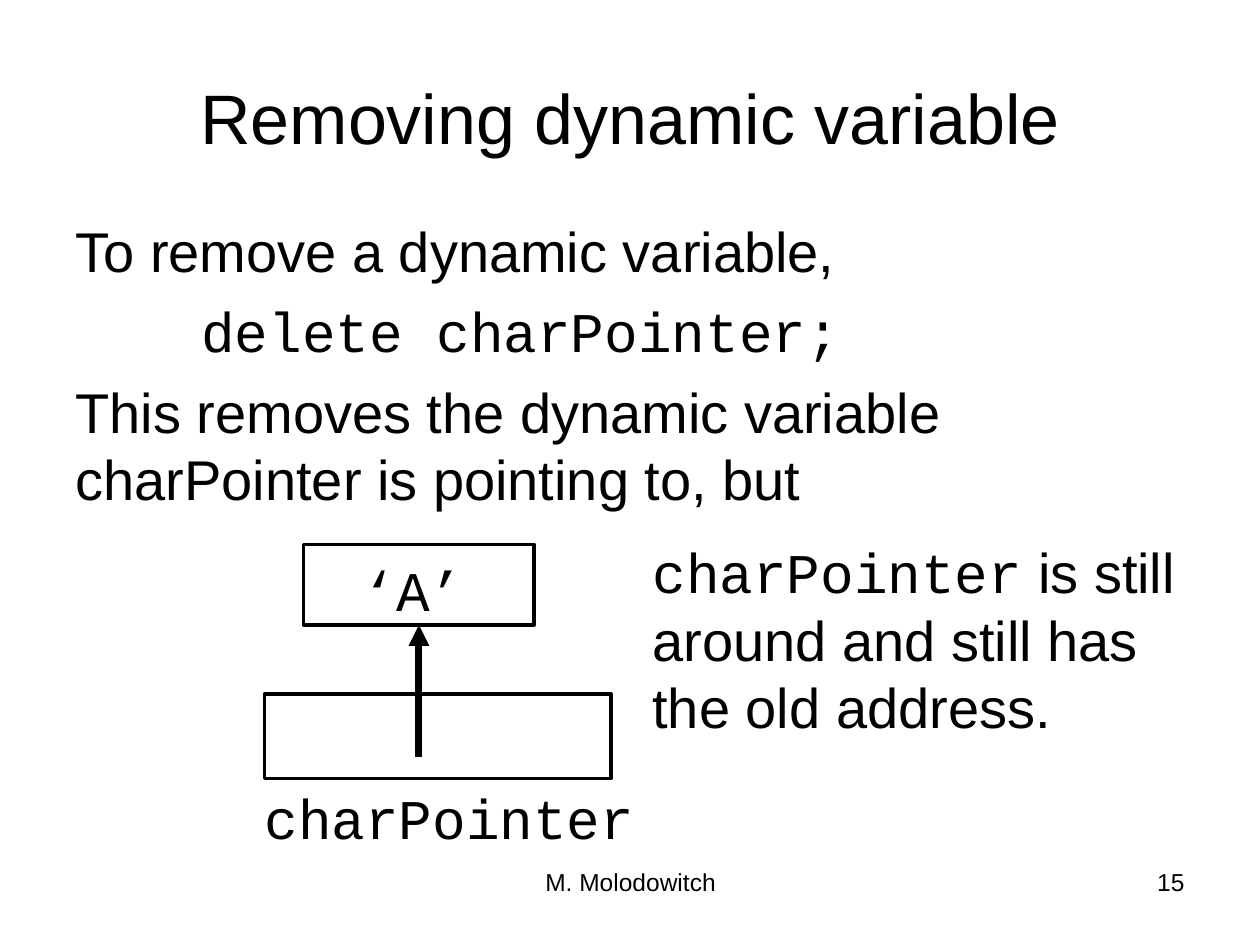
"""Build a slide on removing a dynamic variable in C++."""
from lxml import etree
from pptx import Presentation
from pptx.dml.color import RGBColor
from pptx.enum.shapes import MSO_CONNECTOR, MSO_SHAPE
from pptx.enum.text import MSO_ANCHOR, MSO_AUTO_SIZE, PP_ALIGN
from pptx.oxml.ns import qn
from pptx.util import Inches, Pt

LEFT, CENTER, RIGHT = PP_ALIGN.LEFT, PP_ALIGN.CENTER, PP_ALIGN.RIGHT
TOP, MIDDLE = MSO_ANCHOR.TOP, MSO_ANCHOR.MIDDLE
GROW, FIXED = MSO_AUTO_SIZE.SHAPE_TO_FIT_TEXT, MSO_AUTO_SIZE.NONE
RECTANGLE, STRAIGHT = MSO_SHAPE.RECTANGLE, MSO_CONNECTOR.STRAIGHT
BOTTOM_SIDE = 2

COLORS = {"ink": "000000", "paper": "FFFFFF"}
PROSE, CODE = "Arial", "Courier New"
COLUMNS, ROWS = 100, 75
CELL = Inches(0.1)

TITLE = [(0, [("Removing dynamic variable", PROSE)])]
FOOTER = [(0, [("M. Molodowitch", PROSE)])]
NUMBER = [(0, [("15", PROSE)])]
EXPLANATION = [
    (0, [("To remove a dynamic variable,", PROSE)]),
    (10, [("delete charPointer;", CODE)]),
    (0, [("This removes the dynamic variable charPointer is pointing to, but", PROSE)]),
]
VALUE = [(0, [("‘A’", CODE)])]
POINTER = [(0, [("charPointer", CODE)])]
REMARK = [(0, [("charPointer", CODE), (" is still around and still has the old address.", PROSE)])]

TEXTS = [
    (TITLE, (5, 3, 90, 12.5), 40, CENTER, MIDDLE, FIXED, 0),
    (FOOTER, (34.2, 68.3, 31.7, 5.2), 14, CENTER, TOP, FIXED, 0),
    (NUMBER, (71.7, 68.3, 23.3, 5.2), 14, RIGHT, TOP, FIXED, 0),
    (EXPLANATION, (5, 16.7, 90, 50.3), 32, LEFT, TOP, FIXED, 7.5),
    (VALUE, (27.8, 43.6, 13.9, 6.4), 32, LEFT, TOP, GROW, 0),
    (POINTER, (20, 61.7, 32.5, 6.4), 32, LEFT, TOP, GROW, 0),
    (REMARK, (50.8, 42.2, 45.8, 17.2), 32, LEFT, TOP, GROW, 0),
]
VALUE_CELL = (24.1, 43.2, 18.3, 6.4)
POINTER_CELL = (21, 55.1, 27.5, 6.7)
ARROW_START_ROW = 60.1


def grid(*cells):
    return [round(cell * CELL) for cell in cells]


def color(name):
    return RGBColor.from_string(COLORS[name])


def apply(target, values):
    for name, value in values.items():
        setattr(target, name, value)


def add_text(page, paragraphs, place, size, align, anchor, fit, gap):
    box = page.shapes.add_textbox(*grid(*place))
    frame = box.text_frame
    apply(frame, {"word_wrap": True, "vertical_anchor": anchor, "auto_size": fit})
    for index, (indent, spans) in enumerate(paragraphs):
        para = frame.add_paragraph() if index else frame.paragraphs[0]
        apply(para, {"alignment": align, "space_before": Pt(gap)})
        if indent:
            para._p.get_or_add_pPr().set("marL", str(indent * CELL))
        for words, font in spans:
            span = para.add_run()
            span.text = words
            apply(span.font, {"name": font, "size": Pt(size)})
            span.font.color.rgb = color("ink")


def add_cell(page, place):
    box = page.shapes.add_shape(RECTANGLE, *grid(*place))
    box.shadow.inherit = False
    box.fill.background()
    box.line.color.rgb = color("ink")
    box.line.width = Pt(2)
    return box


def add_arrow(page, target, start_row):
    middle = target.left + target.width // 2
    arrow = page.shapes.add_connector(
        STRAIGHT, middle, *grid(start_row), middle, target.top + target.height)
    arrow.end_connect(target, BOTTOM_SIDE)
    arrow.line.color.rgb = color("ink")
    arrow.line.width = Pt(4)
    etree.SubElement(arrow.line._get_or_add_ln(), qn("a:tailEnd"), type="triangle")
    etree.SubElement(arrow._element.spPr, qn("a:effectLst"))


def main():
    deck = Presentation()
    apply(deck, {"slide_width": COLUMNS * CELL, "slide_height": ROWS * CELL})
    page = deck.slides.add_slide(deck.slide_layouts[6])
    page.background.fill.solid()
    page.background.fill.fore_color.rgb = color("paper")
    value_cell = add_cell(page, VALUE_CELL)
    add_cell(page, POINTER_CELL)
    for text in TEXTS:
        add_text(page, *text)
    add_arrow(page, value_cell, ARROW_START_ROW)
    deck.save("out.pptx")


if __name__ == "__main__":
    main()
